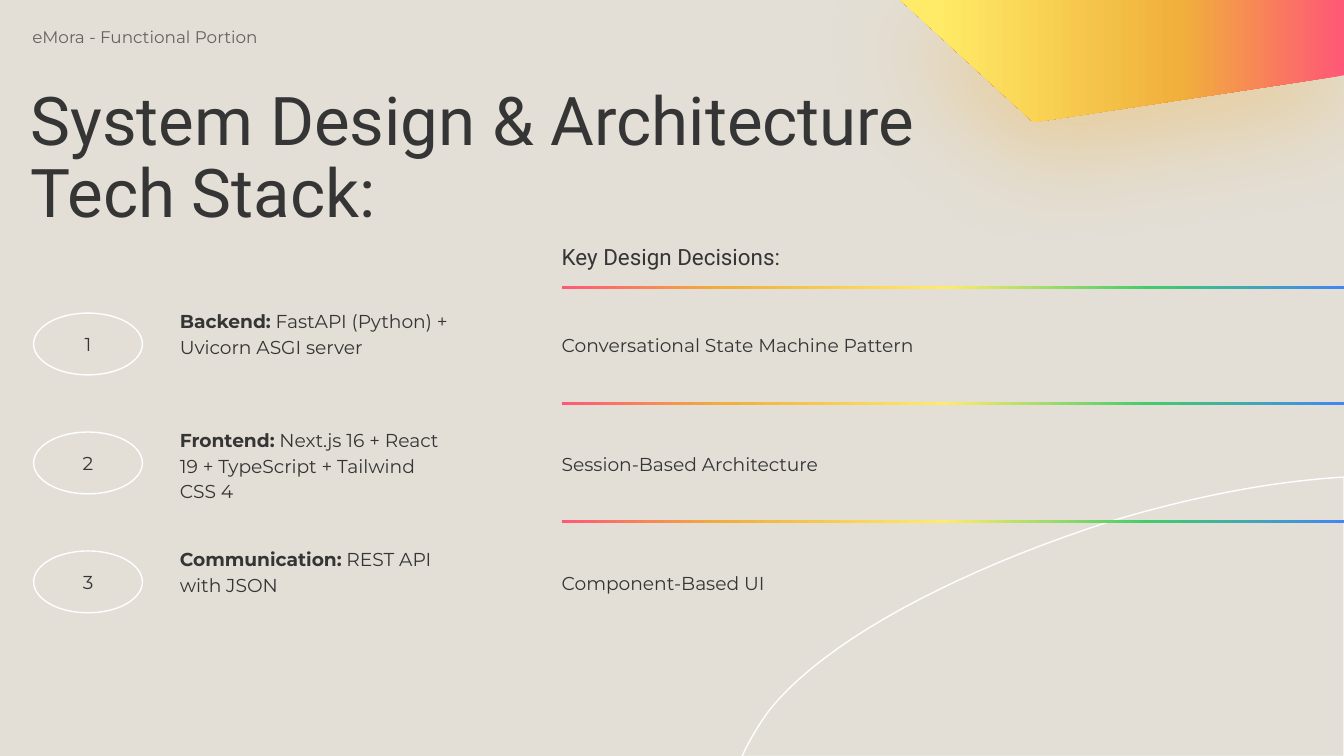
from dataclasses import dataclass

from lxml import etree
from pptx import Presentation
from pptx.dml.color import RGBColor
from pptx.enum.shapes import MSO_SHAPE as Preset
from pptx.enum.text import MSO_ANCHOR as Anchor, PP_ALIGN as Align
from pptx.oxml.ns import qn
from pptx.util import Inches, Pt

INK, GREY, WHITE, SAND, AMBER = "353535", "69615E", "FFFFFF", "E3DFD6", "F0B03B"
RAINBOW = [(0, "FF5777"), (21, AMBER), (49, "FFEB67"), (75, "41CC6B"), (100, "4285F4")]
SUNSET = [(0, "FF5777"), (37, AMBER), (92, "FFEB67"), (100, "FFEB67")]
SLIDE_WIDTH = Inches(10)
SLIDE_HEIGHT = SLIDE_WIDTH * 9 // 16
GEM = [(6.7, 0), (7.69, 0.91), (10, 0.56), (10, 0)]
ARC_CURVES = [
    [(10, 3.55), (9.48, 3.58), (8.89, 3.69), (8.26, 3.88)],
    [(8.26, 3.88), (7.11, 4.25), (6.13, 4.77), (5.72, 5.29)],
    [(5.72, 5.29), (5.64, 5.4), (5.57, 5.52), (5.52, 5.63)],
]
CURVE_STEPS = 20
ROW_TOP, ROW_STEP, ROW_HEIGHT = 2.18, 0.885, 0.75
DECISION_LEFT = 4.18


@dataclass
class Row:
    label: str
    tools: str
    decision: str
    bar_top: float


@dataclass
class Style:
    size: float = 10
    font: str = "Montserrat"
    color: str = INK
    spacing: float = 1.15
    anchor: Anchor = Anchor.TOP
    inset: float = 0.1


ROWS = [
    Row("Backend:", " FastAPI (Python) + Uvicorn ASGI server",
        "Conversational State Machine Pattern", 2.13),
    Row("Frontend:", " Next.js 16 + React 19 + TypeScript + Tailwind CSS 4",
        "Session-Based Architecture", 2.99),
    Row("Communication:", " REST API with JSON", "Component-Based UI", 3.87),
]
DECISION = Style(anchor=Anchor.MIDDLE, inset=0)


def rgb(color: str) -> RGBColor:
    return RGBColor.from_string(color)


def add_element(parent, tag: str, **attributes):
    element = etree.SubElement(parent, qn(tag))
    for name, value in attributes.items():
        element.set(name, str(value))
    return element


def set_gradient(shape, stops: list, angle: float) -> None:
    """Fill the shape with a linear gradient of (percent, colour) stops."""
    shape.fill.gradient()
    shape.fill.gradient_angle = angle
    stop_list = shape._element.spPr.find(qn("a:gradFill")).find(qn("a:gsLst"))
    for old_stop in list(stop_list):
        stop_list.remove(old_stop)
    for percent, color in stops:
        stop = add_element(stop_list, "a:gs", pos=percent * 1000)
        add_element(stop, "a:srgbClr", val=color)


def add_glow_shadow(shape) -> None:
    effects = shape._element.spPr.find(qn("a:effectLst"))
    shadow = add_element(effects, "a:outerShdw", blurRad=Pt(55), dist=Pt(17),
                         dir=95 * 60000, algn="bl", rotWithShape=0)
    color = add_element(shadow, "a:srgbClr", val=AMBER)
    add_element(color, "a:alpha", val=40000)


def set_outline(shape) -> None:
    shape.fill.background()
    shape.line.color.rgb = rgb(WHITE)
    shape.line.width = Pt(0.75)


def curve_point(curve: list, t: float) -> tuple:
    """Return the point at t (0 to 1) on a cubic Bezier curve."""
    weights = ((1 - t) ** 3, 3 * t * (1 - t) ** 2, 3 * t ** 2 * (1 - t), t ** 3)
    return tuple(sum(w * point[axis] for w, point in zip(weights, curve)) for axis in (0, 1))


def arc_points() -> list:
    points = [curve_point(curve, step / CURVE_STEPS)
              for curve in ARC_CURVES for step in range(CURVE_STEPS)]
    return points + [ARC_CURVES[-1][-1], (10, 5.63)]


def add_polygon(slide, points: list):
    corners = [(Inches(x), Inches(y)) for x, y in points]
    builder = slide.shapes.build_freeform(*corners[0])
    builder.add_line_segments(corners[1:], close=True)
    shape = builder.convert_to_shape()
    shape.shadow.inherit = False
    return shape


def add_preset(slide, preset: Preset, left: float, top: float, width: float, height: float):
    shape = slide.shapes.add_shape(preset, Inches(left), Inches(top),
                                   Inches(width), Inches(height))
    shape.shadow.inherit = False
    return shape


def add_bar(slide, top: float) -> None:
    bar = add_preset(slide, Preset.RECTANGLE, DECISION_LEFT, top, 5.82, 0.02)
    set_gradient(bar, RAINBOW, 0)
    bar.line.fill.background()


def format_font(font, style: Style) -> None:
    font.name = style.font
    font.size = Pt(style.size)
    font.color.rgb = rgb(style.color)


def add_number(slide, number: int, top: float) -> None:
    oval = add_preset(slide, Preset.OVAL, 0.25, top, 0.81, 0.46)
    set_outline(oval)
    frame = oval.text_frame
    frame.text = str(number)
    frame.vertical_anchor = Anchor.MIDDLE
    paragraph = frame.paragraphs[0]
    paragraph.alignment = Align.CENTER
    format_font(paragraph.runs[0].font, Style())


def add_text(slide, text: str, left: float, top: float, width: float, height: float,
             style: Style, bold_lead: str = "") -> None:
    """Add a text box, with an optional bold run before the text."""
    box = slide.shapes.add_textbox(Inches(left), Inches(top), Inches(width), Inches(height))
    frame = box.text_frame
    frame.word_wrap = True
    frame.vertical_anchor = style.anchor
    frame.margin_left = Inches(style.inset)
    frame.margin_right = frame.margin_top = frame.margin_bottom = Inches(0.1)
    paragraph = frame.paragraphs[0]
    paragraph.line_spacing = style.spacing
    for content, bold in ((bold_lead, True), (text, False)):
        if content:
            run = paragraph.add_run()
            run.text = content
            run.font.bold = bold
            format_font(run.font, style)


def main() -> None:
    presentation = Presentation()
    presentation.slide_width, presentation.slide_height = SLIDE_WIDTH, SLIDE_HEIGHT
    slide = presentation.slides.add_slide(presentation.slide_layouts[6])
    slide.background.fill.solid()
    slide.background.fill.fore_color.rgb = rgb(SAND)

    set_outline(add_polygon(slide, arc_points()))
    gem = add_polygon(slide, GEM)
    set_gradient(gem, SUNSET, 180)
    gem.line.fill.background()
    add_glow_shadow(gem)

    add_text(slide, "eMora - Functional Portion", 0.04, 0.12, 2.61, 0.21,
             Style(size=9, color=GREY, spacing=1.0, inset=0.2))
    add_text(slide, "System Design & Architecture Tech Stack:", 0.13, 0.55, 7.48, 1.29,
             Style(size=36, font="Roboto", spacing=0.9))
    add_text(slide, "Key Design Decisions:", DECISION_LEFT, 1.67, 2.4, 0.44,
             Style(size=12, font="Roboto", anchor=Anchor.BOTTOM, inset=0))

    for index, row in enumerate(ROWS):
        top = ROW_TOP + index * ROW_STEP
        add_bar(slide, row.bar_top)
        add_number(slide, index + 1, top + 0.15)
        add_text(slide, row.tools, 1.24, top, 2.21, ROW_HEIGHT, Style(), row.label)
        add_text(slide, row.decision, DECISION_LEFT, top, 3.66, ROW_HEIGHT, DECISION)

    presentation.save("out.pptx")


if __name__ == "__main__":
    main()
